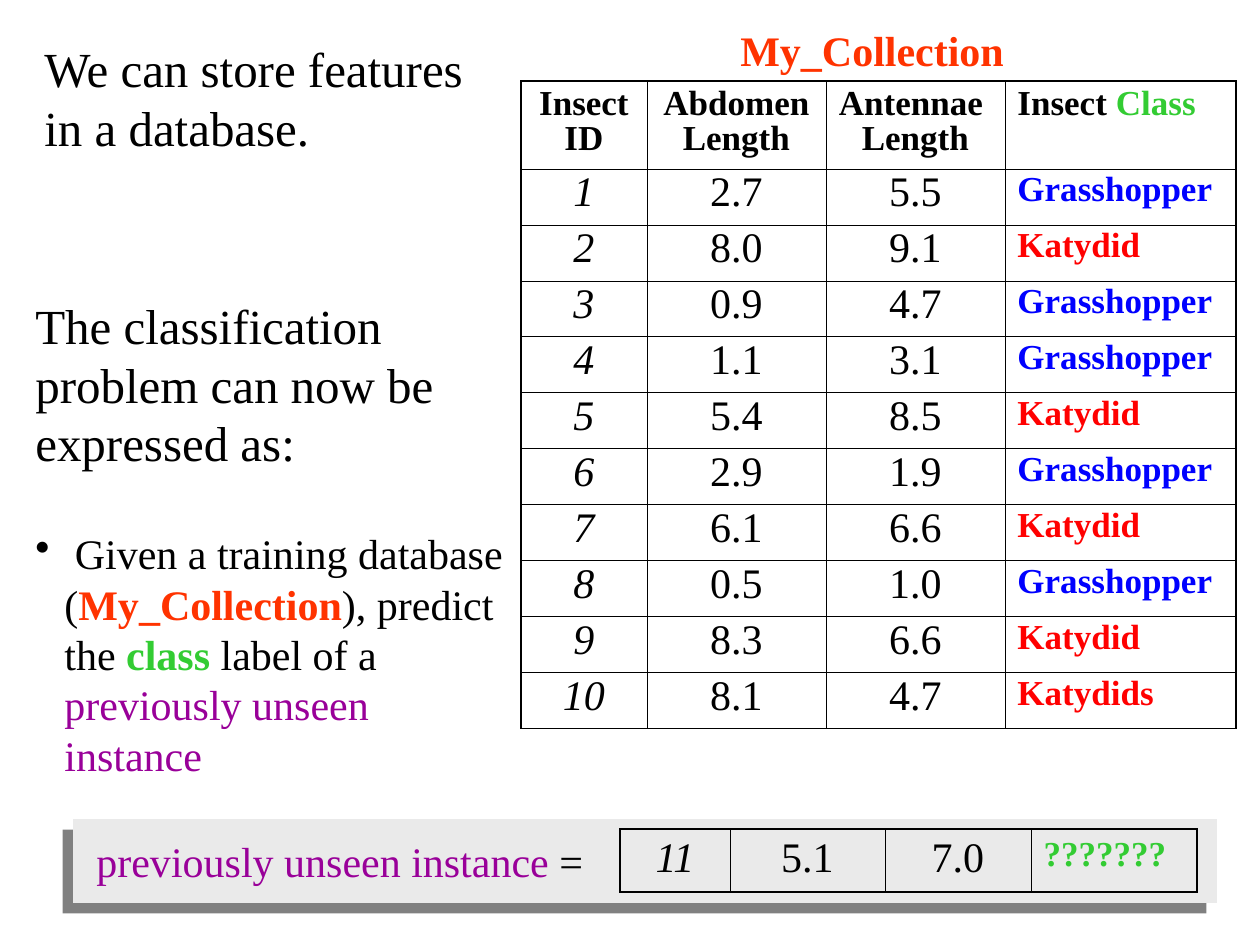
from dataclasses import dataclass

from lxml.etree import SubElement
from pptx import Presentation
from pptx.dml.color import RGBColor
from pptx.enum.shapes import MSO_SHAPE
from pptx.enum.text import MSO_AUTO_SIZE, PP_ALIGN
from pptx.oxml.ns import qn
from pptx.util import Pt

EMU_PER_PIXEL = 914400 // 126


@dataclass(frozen=True)
class Theme:
    font: str = "Times New Roman"
    black: str = "000000"
    orange: str = "FF3300"
    green: str = "33CC33"
    purple: str = "990099"
    blue: str = "0000FF"
    red: str = "FF0000"
    panel: str = "EAEAEA"
    shadow: str = "808080"
    lead: int = 28
    body: int = 24
    label: int = 20
    thin: float = 0.45
    thick: float = 1.08


THEME = Theme()
CENTER = {"alignment": PP_ALIGN.CENTER}
HEADER = {"line_spacing": 0.9}
DATA = {"line_spacing": 0.85}
NUMBER = {**CENTER, "space_before": Pt(6)}
CLASS_LABEL = {"space_before": Pt(5)}

INSECTS = [
    ("1", "2.7", "5.5", "Grasshopper"),
    ("2", "8.0", "9.1", "Katydid"),
    ("3", "0.9", "4.7", "Grasshopper"),
    ("4", "1.1", "3.1", "Grasshopper"),
    ("5", "5.4", "8.5", "Katydid"),
    ("6", "2.9", "1.9", "Grasshopper"),
    ("7", "6.1", "6.6", "Katydid"),
    ("8", "0.5", "1.0", "Grasshopper"),
    ("9", "8.3", "6.6", "Katydid"),
    ("10", "8.1", "4.7", "Katydids"),
]


def px(*lengths):
    return [round(length * EMU_PER_PIXEL) for length in lengths]


def span(text, size=THEME.body, color=THEME.black, **formats):
    return text, color, {"name": THEME.font, "size": Pt(size), **formats}


def bold(text, color, size=THEME.body):
    return span(text, size, color, bold=True)


def write(frame, paragraphs):
    """Fill a text frame from (spans, paragraph formats) pairs."""
    for index, (spans, formats) in enumerate(paragraphs):
        para = frame.paragraphs[0] if index == 0 else frame.add_paragraph()
        for name, value in formats.items():
            setattr(para, name, value)
        for text, color, font_formats in spans:
            run = para.add_run()
            run.text = text
            for name, value in font_formats.items():
                setattr(run.font, name, value)
            run.font.color.rgb = RGBColor.from_string(color)


def add_text(slide, area, paragraphs, wrap=True):
    box = slide.shapes.add_textbox(*px(*area))
    box.text_frame.word_wrap = wrap
    box.text_frame.auto_size = MSO_AUTO_SIZE.SHAPE_TO_FIT_TEXT
    write(box.text_frame, paragraphs)
    return box


def add_bullet(para, indent):
    properties = para._p.get_or_add_pPr()
    offset, = px(indent)
    properties.set("marL", str(offset))
    properties.set("indent", str(-offset))
    SubElement(properties, qn("a:buChar"), char="•")


def add_panel(slide, area):
    panel = slide.shapes.add_shape(MSO_SHAPE.RECTANGLE, *px(*area))
    panel.fill.solid()
    panel.fill.fore_color.rgb = RGBColor.from_string(THEME.panel)
    panel.line.fill.background()
    panel.shadow.inherit = False
    effects = panel._element.spPr.find(qn("a:effectLst"))
    shadow = SubElement(effects, qn("a:outerShdw"), dist=str(Pt(8.5)),
                        dir=str(135 * 60000), algn="ctr", rotWithShape="0")
    SubElement(shadow, qn("a:srgbClr"), val=THEME.shadow)


def set_borders(cell, outer_edges):
    properties = cell._tc.get_or_add_tcPr()
    for side, is_outer in outer_edges.items():
        width = THEME.thick if is_outer else THEME.thin
        line = SubElement(properties, qn(f"a:ln{side}"), w=str(Pt(width)))
        fill = SubElement(line, qn("a:solidFill"))
        SubElement(fill, qn("a:srgbClr"), val=THEME.black)


def add_grid(slide, left, top, widths, heights, rows):
    """Add an unfilled table with thin inner and thick outer rules."""
    last_row, last_column = len(heights) - 1, len(widths) - 1
    area = px(left, top, sum(widths), sum(heights))
    table = slide.shapes.add_table(len(heights), len(widths), *area).table
    table.first_row = table.horz_banding = False
    for column, width in zip(table.columns, px(*widths)):
        column.width = width
    for row, height in zip(table.rows, px(*heights)):
        row.height = height
    for r, row in enumerate(rows):
        for c, paragraphs in enumerate(row):
            cell = table.cell(r, c)
            set_borders(cell, {"L": c == 0, "R": c == last_column,
                               "T": r == 0, "B": r == last_row})
            cell.fill.background()
            write(cell.text_frame, paragraphs)


def header_row():
    def title(text, color=THEME.black):
        return bold(text, color, THEME.label)

    measured = [[([title(line)], {**HEADER, **CENTER}) for line in (part, "Length")]
                for part in ("Abdomen ", "Antennae ")]
    return [
        [([title("Insect ID")], {**HEADER, **CENTER, **CLASS_LABEL})],
        *measured,
        [([title("Insect "), title("Class", THEME.green)], {**HEADER, **CLASS_LABEL})],
    ]


def instance_row(values, color, formats):
    number, *lengths, label = values
    return [
        [([span(number, italic=True)], {**NUMBER, **formats})],
        *[[([span(length)], {**NUMBER, **formats})] for length in lengths],
        [([bold(label, color, THEME.label)], {**CLASS_LABEL, **formats})],
    ]


def main():
    deck = Presentation()
    deck.slide_width, deck.slide_height = px(1260, 945)
    slide = deck.slides.add_slide(deck.slide_layouts[6])

    # Panel behind the unseen instance
    add_panel(slide, (73, 819, 1144, 84))

    # Training database
    rows = [header_row()]
    for insect in INSECTS:
        color = THEME.blue if insect[-1] == "Grasshopper" else THEME.red
        rows.append(instance_row(insect, color, DATA))
    add_grid(slide, 521, 81, [126, 179, 179, 231], [88] + [56] * len(INSECTS), rows)

    # Unseen instance
    unseen = instance_row(("11", "5.1", "7.0", "???????"), THEME.green, {})
    add_grid(slide, 620, 829, [110, 155, 146, 166], [63], [unseen])

    # Statements and labels
    add_text(slide, (32, 32, 483, 131),
             [([span("We can store features in a database.", THEME.lead)], {})])
    add_text(slide, (728, 18, 289, 63),
             [([bold("My_Collection", THEME.orange)], {})], wrap=False)
    problem = add_text(slide, (23, 289, 494, 450), [
        ([span("The classification problem can now be expressed as:", THEME.lead)], {}),
        ([span(" Given a training database ("), bold("My_Collection", THEME.orange),
          span("), predict the "), bold("class ", THEME.green), span("label of a "),
          span("previously unseen instance", color=THEME.purple)],
         {"space_before": Pt(32)}),
    ])
    add_bullet(problem.text_frame.paragraphs[1], 29)
    add_text(slide, (84, 829, 522, 63),
             [([span("previously unseen instance", color=THEME.purple), span(" = ")], {})],
             wrap=False)

    deck.save("out.pptx")


main()
